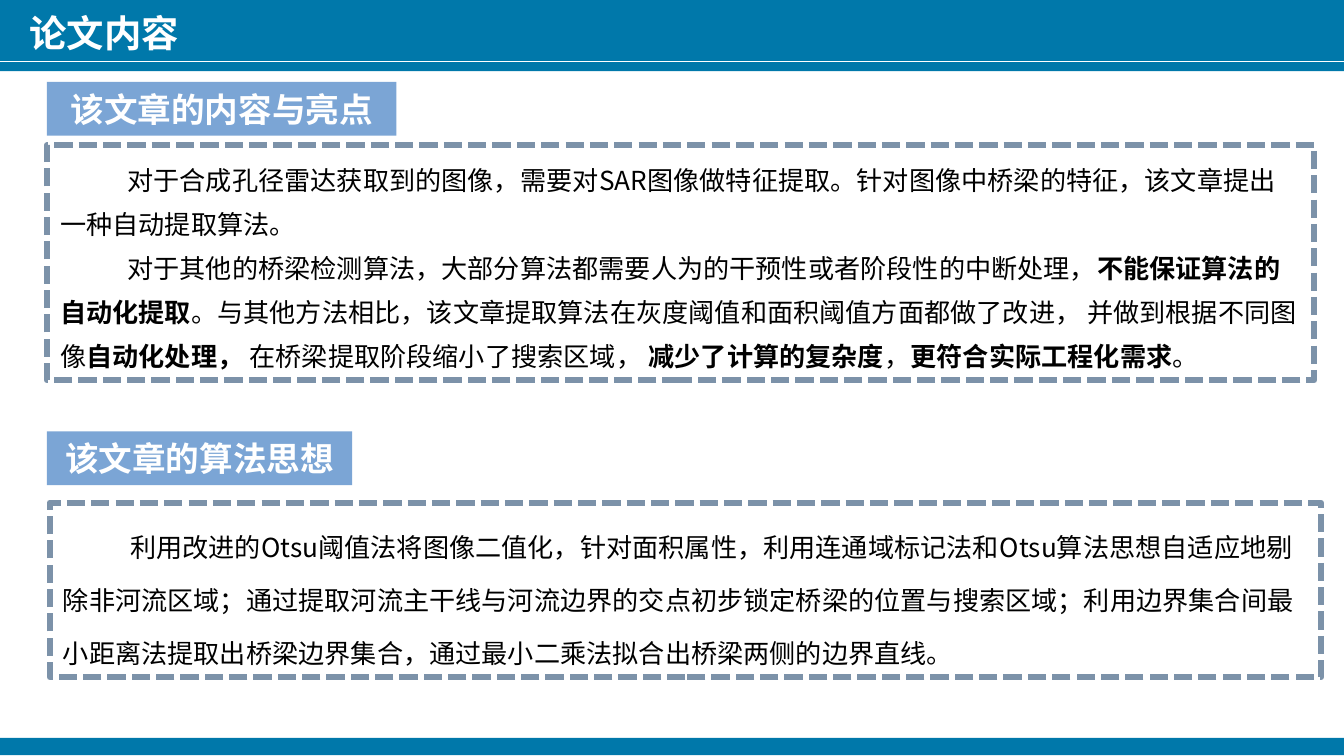
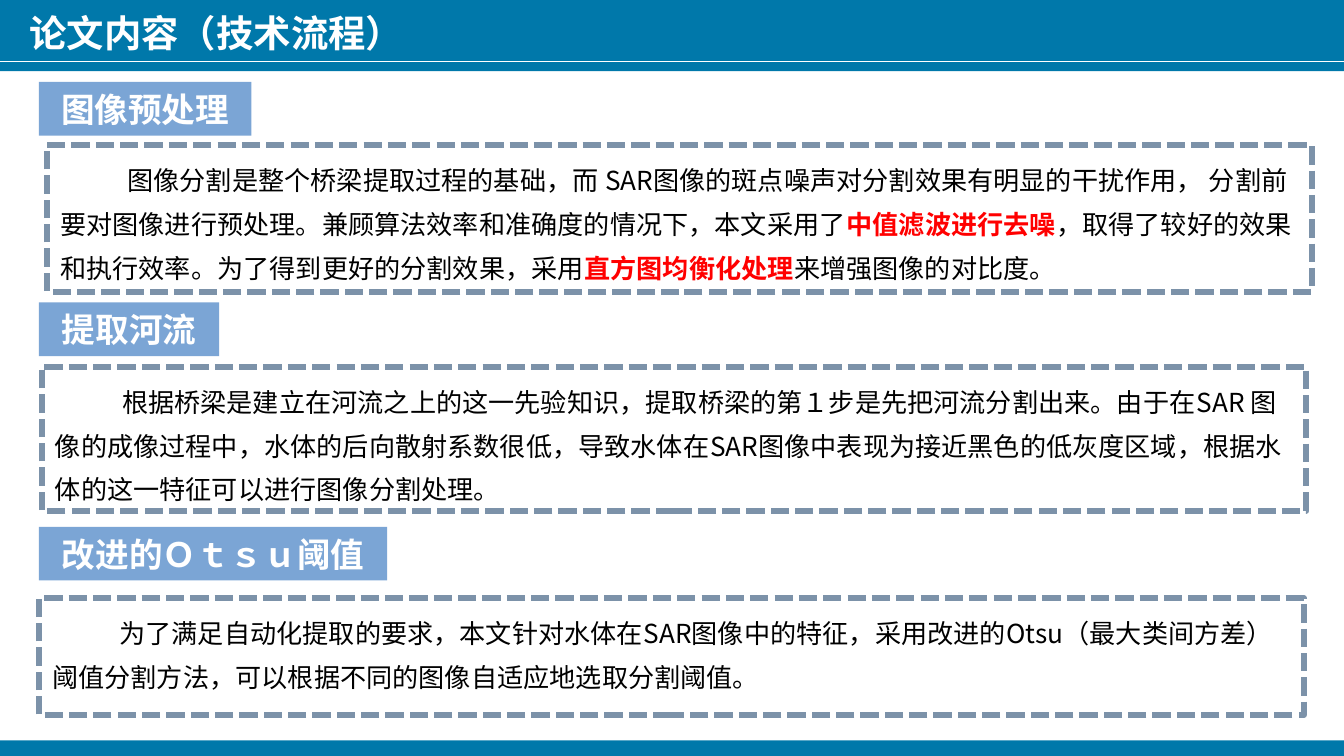
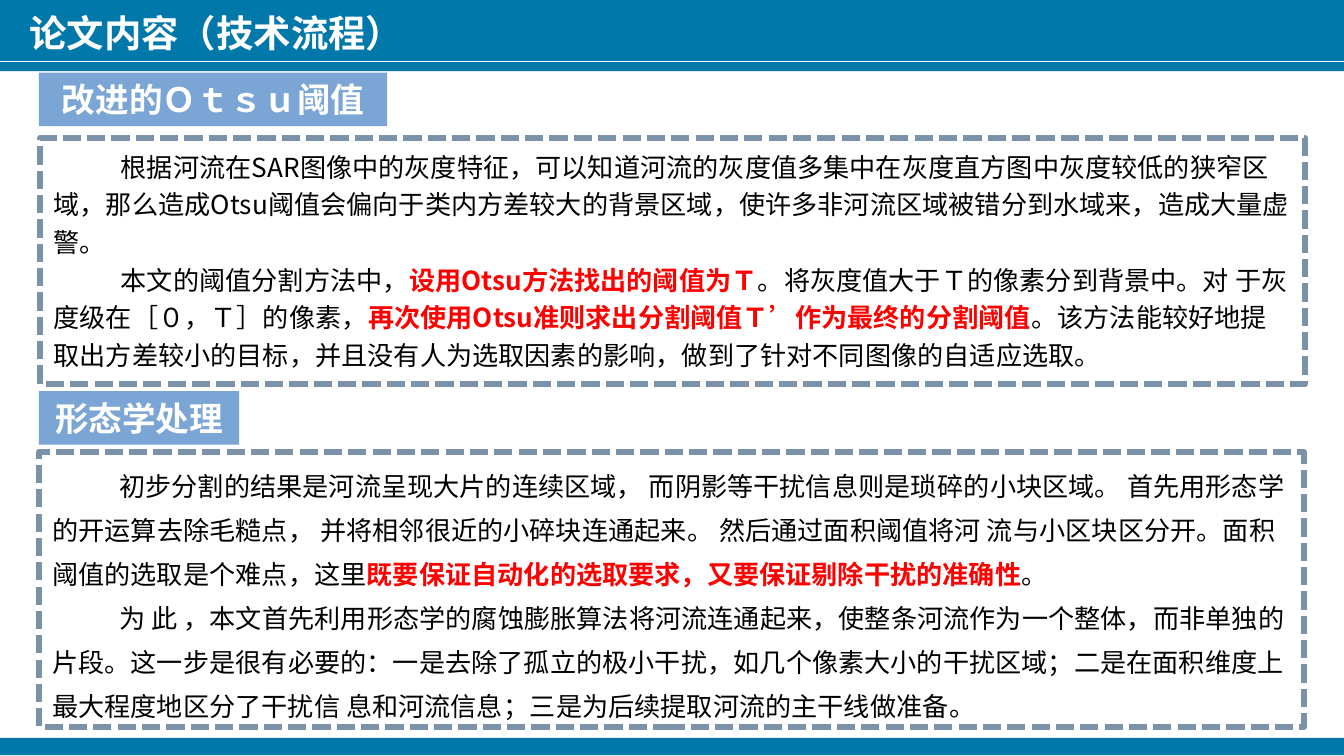
from dataclasses import dataclass

from lxml.etree import SubElement
from pptx import Presentation
from pptx.dml.color import RGBColor
from pptx.enum.dml import MSO_LINE
from pptx.enum.shapes import MSO_CONNECTOR, MSO_SHAPE
from pptx.enum.text import MSO_ANCHOR as Anchor, PP_ALIGN as Align
from pptx.oxml.ns import qn
from pptx.util import Inches, Pt

WHITE = RGBColor(0xFF, 0xFF, 0xFF)
BLACK = RGBColor(0x00, 0x00, 0x00)
RED = RGBColor(0xFF, 0x00, 0x00)
BAND_BLUE = RGBColor(0x00, 0x78, 0xAA)
LABEL_BLUE = RGBColor(0x7B, 0xA5, 0xD5)
DASH_GRAY = RGBColor(0x7C, 0x92, 0xA9)
FONT = "Noto Sans CJK SC"
SLIDE_W = 10
SLIDE_H = SLIDE_W * 9 / 16
BAND_W = 10.01
LABEL_H = 0.4

PLAIN = (BLACK, False)
STRONG = (BLACK, True)
ALERT = (RED, True)


@dataclass
class Section:
    heading: str
    label_at: tuple
    label_width: float
    panel_box: tuple
    paragraphs: list
    line_spacing: float = 1.4


def add_run(paragraph, text, size, color, bold):
    run = paragraph.add_run()
    run.text = text
    run.font.size = Pt(size)
    run.font.bold = bold
    run.font.color.rgb = color
    run.font.name = FONT
    SubElement(run.font._element, qn("a:ea")).set("typeface", FONT)


def add_box(slide, box, fill=None):
    rect = slide.shapes.add_shape(MSO_SHAPE.RECTANGLE, *map(Inches, box))
    rect.shadow.inherit = False
    if fill is None:
        rect.fill.background()
    else:
        rect.fill.solid()
        rect.fill.fore_color.rgb = fill
    rect.line.fill.background()
    return rect


def add_frame(slide, title, footer_at):
    add_box(slide, (0, 0, BAND_W, 0.53), BAND_BLUE)
    add_box(slide, (*footer_at, BAND_W, 0.13), BAND_BLUE)

    title_box = slide.shapes.add_textbox(*map(Inches, (0.12, 0.03, 9.56, 0.44)))
    title_box.text_frame.word_wrap = True
    add_run(title_box.text_frame.paragraphs[0], title, 20, WHITE, True)

    rule = slide.shapes.add_connector(
        MSO_CONNECTOR.STRAIGHT, 0, Inches(0.46), Inches(SLIDE_W), Inches(0.46))
    rule.line.color.rgb = WHITE
    rule.line.width = Pt(0.75)
    SubElement(rule._element.spPr, qn("a:effectLst"))


def add_label(slide, box, heading):
    label = add_box(slide, box, LABEL_BLUE)
    label.text_frame.word_wrap = True
    label.text_frame.vertical_anchor = Anchor.TOP
    paragraph = label.text_frame.paragraphs[0]
    paragraph.alignment = Align.CENTER
    add_run(paragraph, heading, 18, WHITE, True)


def add_panel(slide, box, paragraphs, line_spacing):
    panel = add_box(slide, box)
    panel.line.color.rgb = DASH_GRAY
    panel.line.width = Pt(3.25)
    panel.line.dash_style = MSO_LINE.DASH
    panel.line._ln.find(qn("a:prstDash")).set("val", "sysDash")
    frame = panel.text_frame
    frame.word_wrap = True
    frame.vertical_anchor = Anchor.TOP
    for index, pieces in enumerate(paragraphs):
        paragraph = frame.add_paragraph() if index else frame.paragraphs[0]
        paragraph.alignment = Align.LEFT
        paragraph.line_spacing = line_spacing
        paragraph._p.get_or_add_pPr().set("indent", str(Inches(0.5)))
        for text, (color, bold) in pieces:
            add_run(paragraph, text, 14, color, bold)


def add_content_slide(deck, title, footer_at, sections):
    slide = deck.slides.add_slide(deck.slide_layouts[6])
    add_frame(slide, title, footer_at)
    for section in sections:
        add_panel(slide, section.panel_box, section.paragraphs, section.line_spacing)
        add_label(slide, (*section.label_at, section.label_width, LABEL_H), section.heading)


OVERVIEW = [
    Section("该文章的内容与亮点", (0.35, 0.61), 2.6, (0.35, 1.08, 9.43, 1.75), [
        [("对于合成孔径雷达获取到的图像，需要对SAR图像做特征提取。针对图像中桥梁的特征，"
          "该文章提出一种自动提取算法。", PLAIN)],
        [("对于其他的桥梁检测算法，大部分算法都需要人为的干预性或者阶段性的中断处理，", PLAIN),
         ("不能保证算法的自动化提取", STRONG),
         ("。与其他方法相比，该文章提取算法在灰度阈值和面积阈值方面都做了改进， "
          "并做到根据不同图像", PLAIN),
         ("自动化处理，", STRONG),
         (" 在桥梁提取阶段缩小了搜索区域，", PLAIN),
         (" 减少了计算的复杂度", STRONG),
         ("，", PLAIN),
         ("更符合实际工程化需求", STRONG),
         ("。", PLAIN)],
    ]),
    Section("该文章的算法思想", (0.35, 3.21), 2.27, (0.37, 3.74, 9.46, 1.3), [
        [("利用改进的Otsu阈值法将图像二值化，针对面积属性，利用连通域标记法和Otsu算法思想"
          "自适应地剔除非河流区域；通过提取河流主干线与河流边界的交点初步锁定桥梁的位置与"
          "搜索区域；利用边界集合间最小距离法提取出桥梁边界集合，通过最小二乘法拟合出桥梁"
          "两侧的边界直线。", PLAIN)],
    ], 1.7),
]

SEGMENTATION = [
    Section("图像预处理", (0.29, 0.61), 1.58, (0.35, 1.08, 9.41, 1.09), [
        [("图像分割是整个桥梁提取过程的基础，而 SAR图像的斑点噪声对分割效果有明显的干扰作用， "
          "分割前要对图像进行预处理。兼顾算法效率和准确度的情况下，本文采用了", PLAIN),
         ("中值滤波进行去噪", ALERT),
         ("，取得了较好的效果和执行效率。为了得到更好的分割效果，采用", PLAIN),
         ("直方图均衡化处理", ALERT),
         ("来增强图像的对比度。", PLAIN)],
    ]),
    Section("提取河流", (0.29, 2.25), 1.34, (0.31, 2.73, 9.41, 1.07), [
        [("根据桥梁是建立在河流之上的这一先验知识，提取桥梁的第１步是先把河流分割出来。"
          "由于在SAR 图像的成像过程中，水体的后向散射系数很低，导致水体在SAR图像中表现为"
          "接近黑色的低灰度区域，根据水体的这一特征可以进行图像分割处理。", PLAIN)],
    ]),
    Section("改进的Ｏｔｓｕ阈值", (0.29, 3.92), 2.59, (0.29, 4.45, 9.41, 0.87), [
        [("为了满足自动化提取的要求，本文针对水体在SAR图像中的特征，采用改进的Otsu"
          "（最大类间方差） 阈值分割方法，可以根据不同的图像自适应地选取分割阈值。", PLAIN)],
    ]),
]

REFINEMENT = [
    Section("改进的Ｏｔｓｕ阈值", (0.29, 0.54), 2.59, (0.3, 1.03, 9.41, 1.83), [
        [("根据河流在SAR图像中的灰度特征，可以知道河流的灰度值多集中在灰度直方图中灰度较低的"
          "狭窄区域，那么造成Otsu阈值会偏向于类内方差较大的背景区域，使许多非河流区域被错分到"
          "水域来，造成大量虚警。", PLAIN)],
        [("本文的阈值分割方法中，", PLAIN),
         ("设用Otsu方法找出的阈值为Ｔ", ALERT),
         ("。将灰度值大于Ｔ的像素分到背景中。对 于灰度级在［０，Ｔ］的像素，", PLAIN),
         ("再次使用Otsu准则求出分割阈值Ｔ’作为最终的分割阈值", ALERT),
         ("。该方法能较好地提取出方差较小的目标，并且没有人为选取因素的影响，"
          "做到了针对不同图像的自适应选取。", PLAIN)],
    ], 1.2),
    Section("形态学处理", (0.29, 2.91), 1.49, (0.29, 3.36, 9.41, 2.05), [
        [("初步分割的结果是河流呈现大片的连续区域， 而阴影等干扰信息则是琐碎的小块区域。 "
          "首先用形态学的开运算去除毛糙点， 并将相邻很近的小碎块连通起来。 "
          "然后通过面积阈值将河 流与小区块区分开。面积阈值的选取是个难点，这里", PLAIN),
         ("既要保证自动化的选取要求，又要保证剔除干扰的准确性", ALERT),
         ("。", PLAIN)],
        [("为 此 ，本文首先利用形态学的腐蚀膨胀算法将河流连通起来，使整条河流作为一个整体，"
          "而非单独的 片段。这一步是很有必要的：一是去除了孤立的极小干扰，如几个像素大小的"
          "干扰区域；二是在面积维度上最大程度地区分了干扰信 息和河流信息；"
          "三是为后续提取河流的主干线做准备。", PLAIN)],
    ]),
]


def main():
    deck = Presentation()
    deck.slide_width, deck.slide_height = Inches(SLIDE_W), Inches(SLIDE_H)
    add_content_slide(deck, "论文内容", (-0.01, 5.49), OVERVIEW)
    add_content_slide(deck, "论文内容（技术流程）", (0, 5.51), SEGMENTATION)
    add_content_slide(deck, "论文内容（技术流程）", (0, 5.49), REFINEMENT)
    deck.save("out.pptx")


if __name__ == "__main__":
    main()
